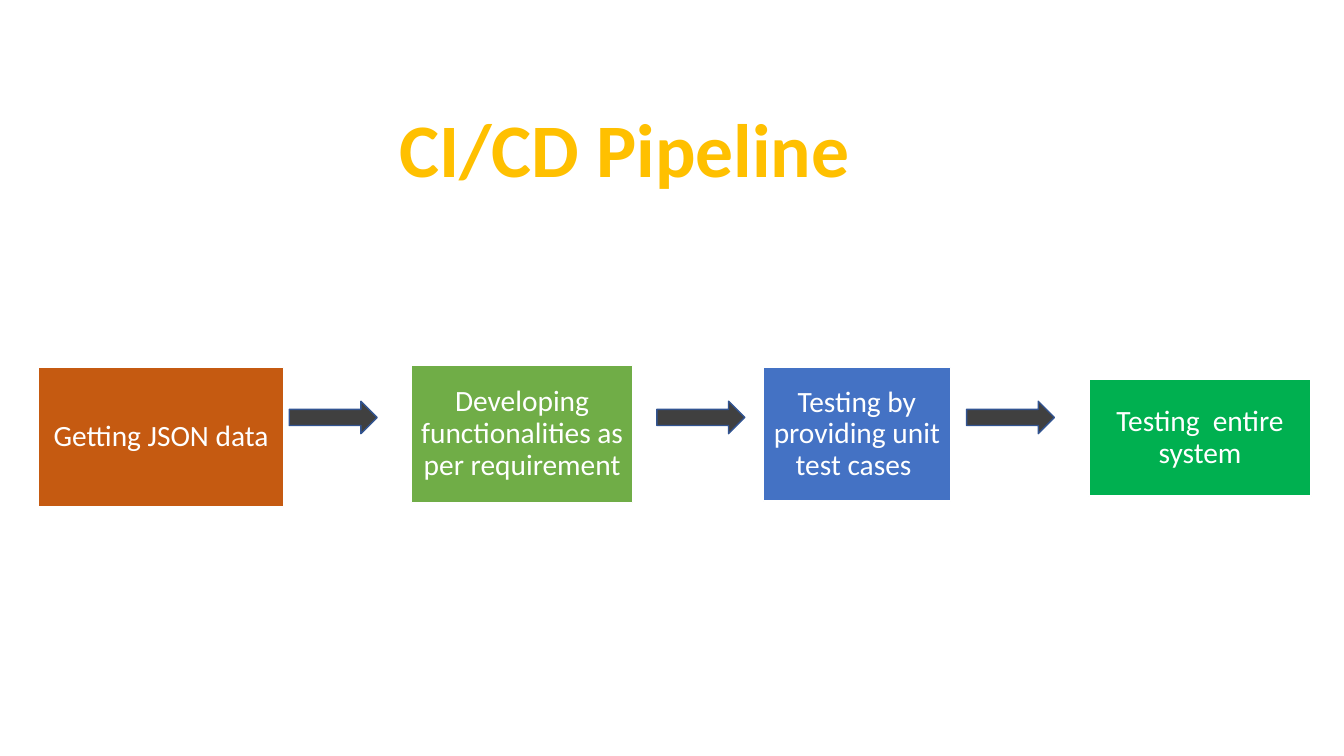
from pptx import Presentation
from pptx import util as u
from pptx.dml.color import RGBColor
from pptx.enum import shapes, text

WHITE = RGBColor(0xFF, 0xFF, 0xFF)
RUST = RGBColor(0xC5, 0x5A, 0x11)
GREEN = RGBColor(0x70, 0xAD, 0x47)
BLUE = RGBColor(0x44, 0x72, 0xC4)
JADE = RGBColor(0x00, 0xB0, 0x50)
GOLD = RGBColor(0xFF, 0xC0, 0x00)
GREY = RGBColor(0x40, 0x40, 0x40)
NAVY = RGBColor(0x32, 0x54, 0x91)


class Flow:
    """Holds the style and the current slide."""
    font = "Calibri"
    inset = 6.5

    def __init__(self, slide):
        self.slide = slide

    def shape(self, kind, place, fill, line):
        item = self.slide.shapes.add_shape(kind, *map(u.Pt, place))
        item.shadow.inherit = False
        item.fill.solid()
        item.fill.fore_color.rgb = fill
        item.line.color.rgb = line
        item.line.width = u.Pt(1)
        return item

    def label(self, frame, words, size, color, bold=False):
        frame.text = words
        frame.vertical_anchor = text.MSO_ANCHOR.MIDDLE
        para = frame.paragraphs[0]
        para.alignment = text.PP_ALIGN.CENTER
        font = para.runs[0].font
        font.name, font.size, font.bold = self.font, u.Pt(size), bold
        font.color.rgb = color
        return para

    def step(self, place, fill, words):
        box = self.shape(shapes.MSO_SHAPE.RECTANGLE, place, fill, WHITE)
        frame = box.text_frame
        frame.word_wrap = True
        frame.margin_left = frame.margin_right = u.Pt(self.inset)
        frame.margin_top = frame.margin_bottom = u.Pt(self.inset)
        self.label(frame, words, 21, WHITE).line_spacing = 0.9

    def arrow(self, left):
        place = (left, 286.6, 62.8, 23.2)
        self.shape(shapes.MSO_SHAPE.RIGHT_ARROW, place, GREY, NAVY)

    def title(self, place, words):
        box = self.slide.shapes.add_textbox(*map(u.Pt, place))
        box.text_frame.word_wrap = False
        self.label(box.text_frame, words, 54, GOLD, bold=True)


def main():
    deck = Presentation()
    deck.slide_width, deck.slide_height = u.Pt(960), u.Pt(540)
    flow = Flow(deck.slides.add_slide(deck.slide_layouts[6]))

    # Steps of the pipeline
    steps = [
        ((27.6, 262.4, 175, 99.8), RUST, "Getting JSON data"),
        ((293.8, 261.2, 158.2, 97.8), GREEN,
         "Developing functionalities as per requirement "),
        ((545.2, 262.4, 133.8, 95.6), BLUE,
         "Testing by providing unit test cases "),
        ((777.8, 270.8, 158.8, 83.6), JADE, "Testing  entire system"),
    ]
    for place, fill, words in steps:
        flow.step(place, fill, words)

    # Arrows between the steps
    for left in (206.6, 690.4, 469.2):
        flow.arrow(left)

    # Heading
    flow.title((264, 69.1, 364.3, 72.7), "CI/CD Pipeline")

    deck.save("out.pptx")


if __name__ == "__main__":
    main()
